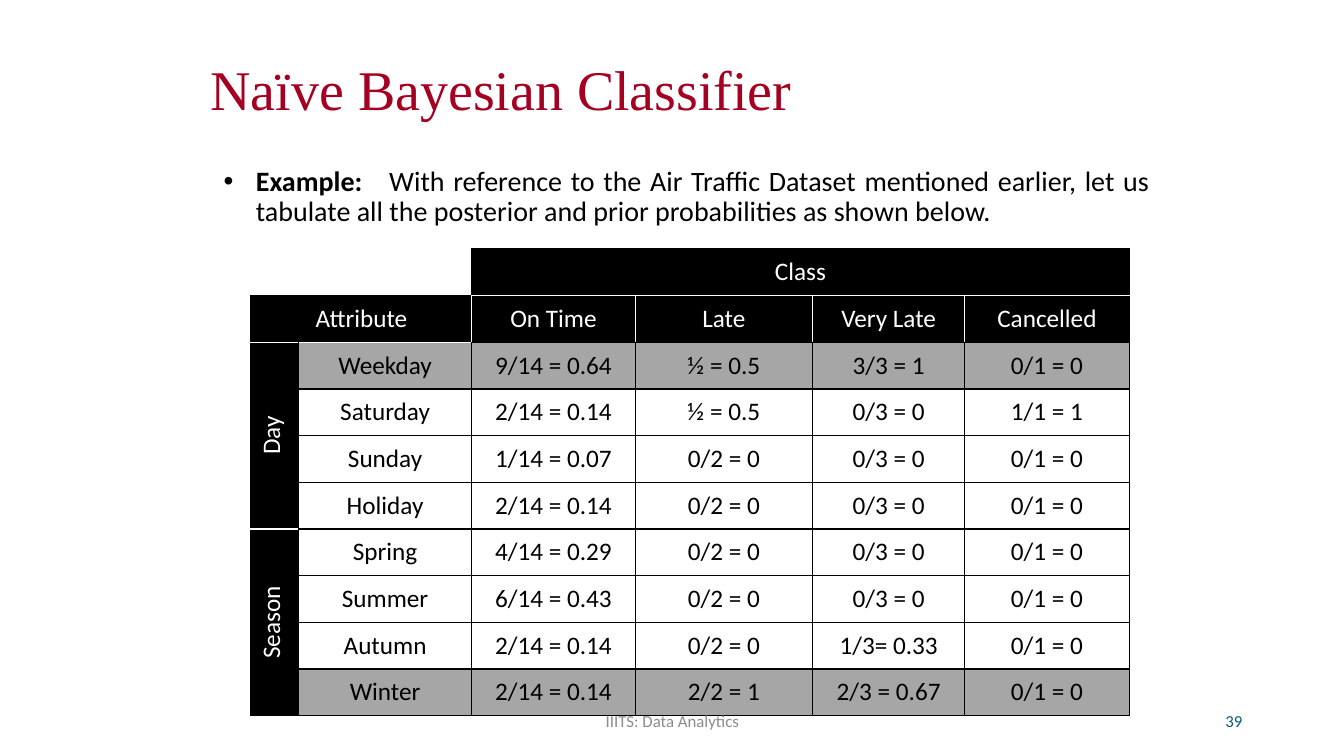
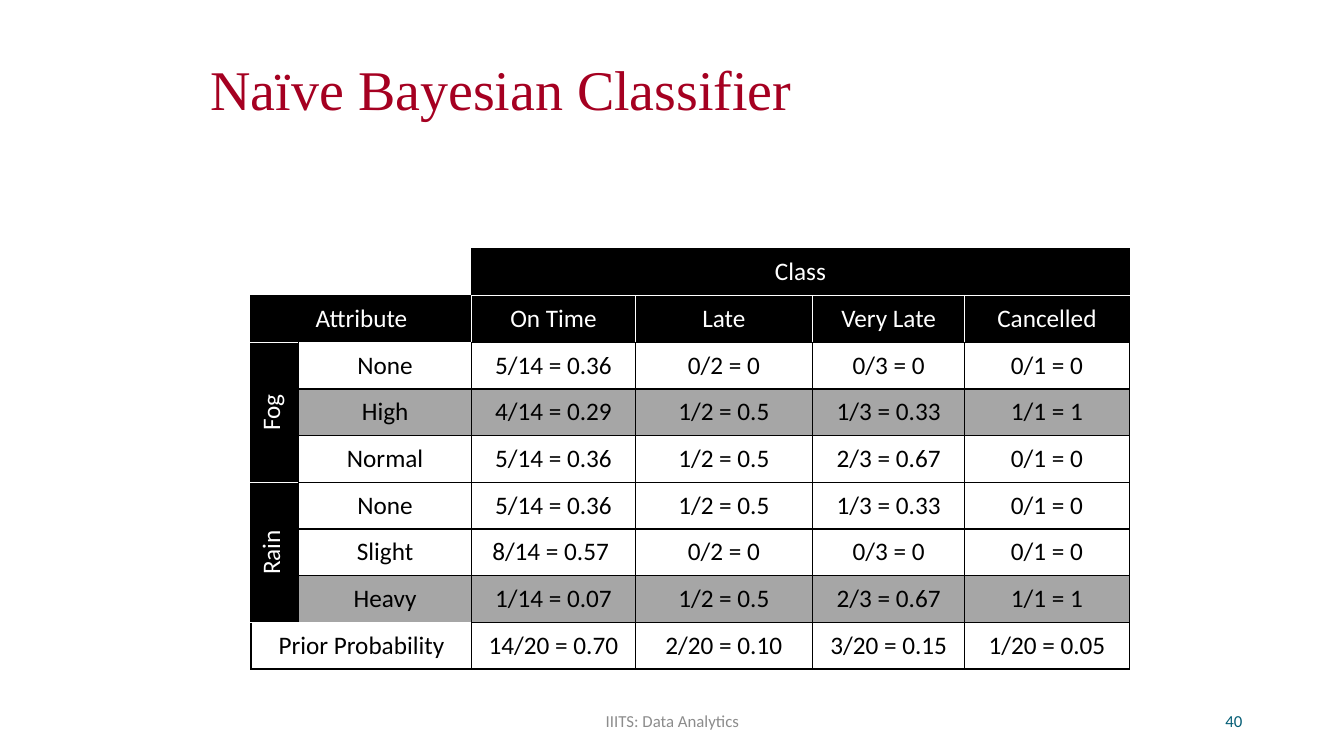
from dataclasses import dataclass
from typing import Any, NamedTuple

from lxml.etree import SubElement
from pptx import Presentation
from pptx.dml.color import RGBColor
from pptx.enum.text import MSO_ANCHOR, PP_ALIGN
from pptx.oxml.ns import qn
from pptx.util import Inches, Pt

COLORS = {
    "title": "A50021",
    "number": "045D75",
    "footer": "8C8C8C",
    "black": "000000",
    "white": "FFFFFF",
    "shade": "A6A6A6",
}
COLUMN_WIDTHS = (0.47, 1.72, 1.62, 1.76, 1.51, 1.63)
CLASSES = ("On Time", "Late", "Very Late", "Cancelled")
ROW_HEIGHT = int(Inches(4.63) / 10)
BODY_FONT = {"name": "Calibri", "size": Pt(20), "bold": False}
CELL_FONT = {"name": "Calibri", "size": Pt(18), "bold": False}


class Box(NamedTuple):
    left: float
    top: float
    width: float
    height: float


@dataclass(frozen=True)
class Label:
    box: Box
    color: str
    align: PP_ALIGN
    font: dict[str, Any]
    line_spacing: float = 1.0


@dataclass(frozen=True)
class Level:
    name: str
    values: tuple[str, str, str, str]
    shaded: bool = False


@dataclass(frozen=True)
class Group:
    name: str
    levels: tuple[Level, ...]


@dataclass(frozen=True)
class Page:
    number: str
    groups: tuple[Group, ...]
    example: str = ""
    prior: tuple[str, ...] = ()


@dataclass(frozen=True)
class Edges:
    L: str = "black"
    R: str = "black"
    T: str = "black"
    B: str = "black"


TITLE = Label(Box(1.99, 0.29, 9.21, 1.25), "title", PP_ALIGN.LEFT,
              {"name": "Times New Roman", "size": Pt(40)}, 0.9)
SMALL_FONT = {"name": "Calibri", "size": Pt(12)}
NUMBER = Label(Box(9.42, 6.95, 3, 0.4), "number", PP_ALIGN.RIGHT, SMALL_FONT)
FOOTER = Label(Box(4.42, 6.95, 4.5, 0.4), "footer", PP_ALIGN.CENTER, SMALL_FONT)

PAGES = (
    Page(
        "39",
        (
            Group("Day", (
                Level("Weekday", ("9/14 = 0.64", "½ = 0.5", "3/3 = 1", "0/1 = 0"), True),
                Level("Saturday", ("2/14 = 0.14", "½ = 0.5", "0/3 = 0", "1/1 = 1")),
                Level("Sunday", ("1/14 = 0.07", "0/2 = 0", "0/3 = 0", "0/1 = 0")),
                Level("Holiday", ("2/14 = 0.14", "0/2 = 0", "0/3 = 0", "0/1 = 0")),
            )),
            Group("Season", (
                Level("Spring", ("4/14 = 0.29", "0/2 = 0", "0/3 = 0", "0/1 = 0")),
                Level("Summer", ("6/14 = 0.43", "0/2 = 0", "0/3 = 0", "0/1 = 0")),
                Level("Autumn", ("2/14 = 0.14", "0/2 = 0", "1/3= 0.33", "0/1 = 0")),
                Level("Winter", ("2/14 = 0.14", "2/2 = 1", "2/3 = 0.67", "0/1 = 0"), True),
            )),
        ),
        example="With reference to the Air Traffic Dataset mentioned earlier, let us "
                "tabulate all the posterior and prior probabilities as shown below.",
    ),
    Page(
        "40",
        (
            Group("Fog", (
                Level("None", ("5/14 = 0.36", "0/2 = 0", "0/3 = 0", "0/1 = 0")),
                Level("High", ("4/14 = 0.29", "1/2 = 0.5", "1/3 = 0.33", "1/1 = 1"), True),
                Level("Normal", ("5/14 = 0.36", "1/2 = 0.5", "2/3 = 0.67", "0/1 = 0")),
            )),
            Group("Rain", (
                Level("None", ("5/14 = 0.36", "1/2 = 0.5", "1/3 = 0.33", "0/1 = 0")),
                Level("Slight", ("8/14 = 0.57 ", "0/2 = 0", "0/3 = 0", "0/1 = 0")),
                Level("Heavy", ("1/14 = 0.07", "1/2 = 0.5", "2/3 = 0.67", "1/1 = 1"), True),
            )),
        ),
        prior=("14/20 = 0.70", "2/20 = 0.10", "3/20 = 0.15", "1/20 = 0.05"),
    ),
)


def rgb(color: str) -> RGBColor:
    return RGBColor.from_string(COLORS[color])


def add_run(paragraph: Any, text: str, formats: dict[str, Any], color: str) -> Any:
    run = paragraph.add_run()
    run.text = text
    for attribute, value in formats.items():
        setattr(run.font, attribute, value)
    run.font.color.rgb = rgb(color)
    return run


def add_frame(slide: Any, box: Box, anchor: MSO_ANCHOR) -> Any:
    frame = slide.shapes.add_textbox(*map(Inches, box)).text_frame
    frame.word_wrap = True
    frame.vertical_anchor = anchor
    return frame


def draw_label(slide: Any, label: Label, text: str) -> None:
    paragraph = add_frame(slide, label.box, MSO_ANCHOR.MIDDLE).paragraphs[0]
    paragraph.alignment = label.align
    paragraph.line_spacing = label.line_spacing
    add_run(paragraph, text, label.font, label.color)


def draw_example(slide: Any, text: str) -> None:
    paragraph = add_frame(slide, Box(2.06, 1.61, 9.44, 5.17), MSO_ANCHOR.TOP).paragraphs[0]
    paragraph.alignment = PP_ALIGN.JUSTIFY
    paragraph.line_spacing = 0.9
    properties = paragraph._p.get_or_add_pPr()
    properties.set("marL", str(Inches(0.38)))
    properties.set("indent", str(Inches(-0.32)))
    SubElement(properties, qn("a:buFont")).set("typeface", "Arial")
    SubElement(properties, qn("a:buChar")).set("char", "•")
    add_run(paragraph, "Example:", {**BODY_FONT, "bold": True}, "black")
    gap = add_run(paragraph, " ", BODY_FONT, "black")
    gap._r.get_or_add_rPr().set("spc", "1280")
    add_run(paragraph, text, BODY_FONT, "black")


def set_edges(cell: Any, edges: Edges) -> None:
    properties = cell._tc.get_or_add_tcPr()
    for side in "LRTB":
        color = getattr(edges, side)
        line = SubElement(properties, qn(f"a:ln{side}"), w=str(Pt(1)))
        if color:
            fill = SubElement(line, qn("a:solidFill"))
            SubElement(fill, qn("a:srgbClr")).set("val", COLORS[color])
        else:
            SubElement(line, qn("a:noFill"))


def fill_cell(table: Any, row: int, column: int, text: str, fill: str = "white",
              edges: Edges = Edges(), rows: int = 1, columns: int = 1) -> Any:
    for r in range(row, row + rows):
        for c in range(column, column + columns):
            part = table.cell(r, c)
            set_edges(part, edges)
            part.fill.solid()
            part.fill.fore_color.rgb = rgb(fill)
    cell = table.cell(row, column)
    if rows * columns > 1:
        cell.merge(table.cell(row + rows - 1, column + columns - 1))
    cell.vertical_anchor = MSO_ANCHOR.MIDDLE
    if text:
        paragraph = cell.text_frame.paragraphs[0]
        paragraph.alignment = PP_ALIGN.CENTER
        add_run(paragraph, text, CELL_FONT, "white" if fill == "black" else "black")
    return cell


def draw_header(table: Any) -> None:
    fill_cell(table, 0, 0, "", edges=Edges(L="", T=""), columns=2)
    fill_cell(table, 0, 2, "Class", "black", Edges(B="white"), columns=4)
    fill_cell(table, 1, 0, "Attribute", "black", Edges(R="white", B="white"), columns=2)
    for column, name in enumerate(CLASSES, 2):
        right = "black" if name == CLASSES[-1] else "white"
        fill_cell(table, 1, column, name, "black", Edges(L="white", R=right, T="white"))


def draw_values(table: Any, row: int, values: tuple[str, ...], fill: str = "white") -> None:
    for column, value in enumerate(values, 2):
        fill_cell(table, row, column, value, fill)


def draw_table(slide: Any, page: Page) -> None:
    row_count = 2 + sum(len(group.levels) for group in page.groups) + bool(page.prior)
    table = slide.shapes.add_table(
        row_count, len(COLUMN_WIDTHS), Inches(2.49), Inches(2.47),
        Inches(sum(COLUMN_WIDTHS)), ROW_HEIGHT * row_count).table
    table.first_row = table.horz_banding = False
    for column, width in zip(table.columns, COLUMN_WIDTHS):
        column.width = Inches(width)
    for table_row in table.rows:
        table_row.height = ROW_HEIGHT
    draw_header(table)
    row = 2
    for group in page.groups:
        span = len(group.levels)
        bottom = "black" if row + span == row_count else "white"
        heading = fill_cell(table, row, 0, group.name, "black",
                            Edges(T="white", B=bottom), rows=span)
        heading._tc.get_or_add_tcPr().set("vert", "vert270")
        for level in group.levels:
            fill = "shade" if level.shaded else "white"
            top = "white" if row == 2 else "black"
            fill_cell(table, row, 1, level.name, fill, Edges(T=top))
            draw_values(table, row, level.values, fill)
            row += 1
    if page.prior:
        fill_cell(table, row, 0, "Prior Probability", edges=Edges(T="white"), columns=2)
        draw_values(table, row, page.prior)


def main() -> None:
    deck = Presentation()
    deck.slide_width, deck.slide_height = Inches(13.33), Inches(7.5)
    for page in PAGES:
        slide = deck.slides.add_slide(deck.slide_layouts[6])
        draw_label(slide, TITLE, "Naïve Bayesian Classifier")
        if page.example:
            draw_example(slide, page.example)
        draw_label(slide, NUMBER, page.number)
        draw_table(slide, page)
        draw_label(slide, FOOTER, "IIITS: Data Analytics")
    deck.save("out.pptx")


if __name__ == "__main__":
    main()
